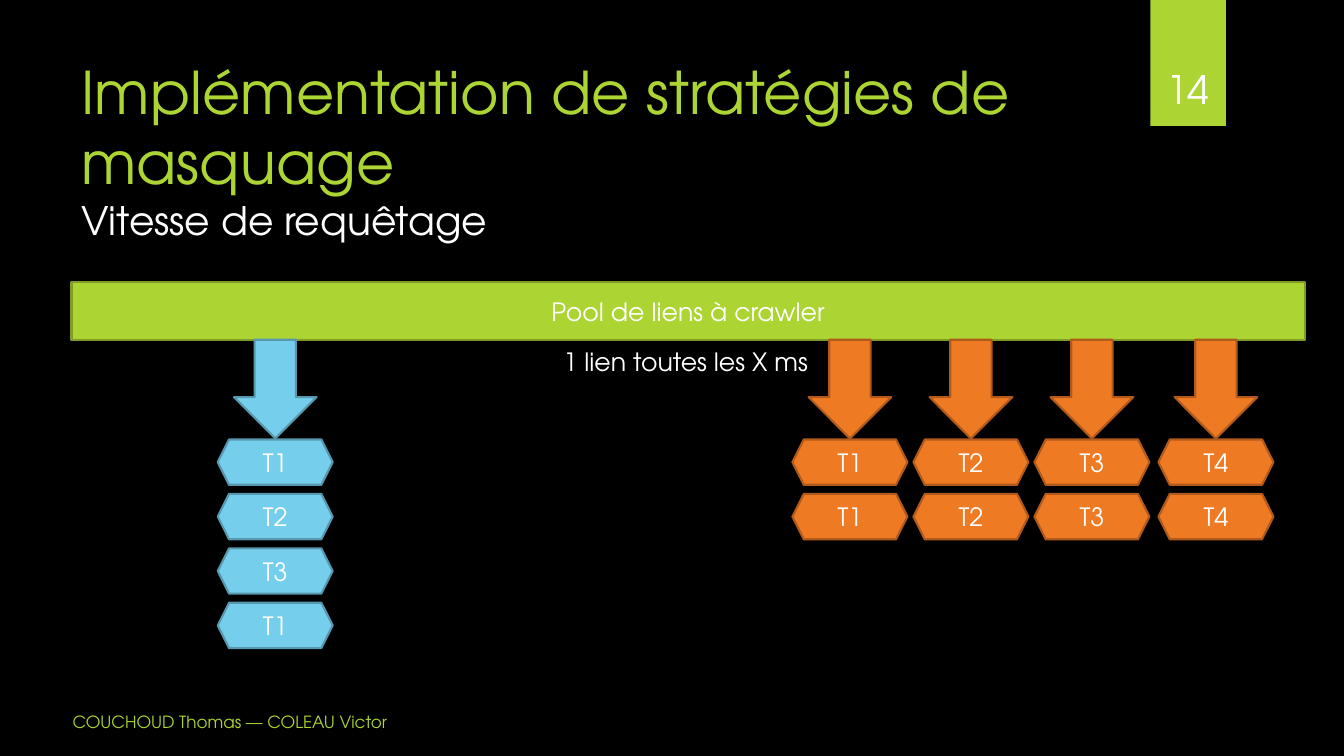
from pptx import Presentation
from pptx.dml.color import RGBColor
from pptx.enum.shapes import MSO_SHAPE as SHAPE
from pptx.enum.text import MSO_ANCHOR as ANCHOR, PP_ALIGN as ALIGN
from pptx.util import Inches, Pt

FONT = "TeX Gyre Adventor"
BLACK = RGBColor(0x00, 0x00, 0x00)
WHITE = RGBColor(0xFF, 0xFF, 0xFF)
GREEN = RGBColor(0xAC, 0xD4, 0x33)
DARK_GREEN = RGBColor(0x7F, 0x9D, 0x26)
BLUE = RGBColor(0x75, 0xCE, 0xEC)
DARK_BLUE = RGBColor(0x57, 0x98, 0xAF)
ORANGE = RGBColor(0xEF, 0x7A, 0x24)
DARK_ORANGE = RGBColor(0xB1, 0x5A, 0x1B)

prs = Presentation()
prs.slide_width, prs.slide_height = Inches(13.33), Inches(7.5)
slide = prs.slides.add_slide(prs.slide_layouts[6])
slide.background.fill.solid()
slide.background.fill.fore_color.rgb = BLACK


def write(box, text, size=18, color=WHITE, align=ALIGN.CENTER, anchor=ANCHOR.MIDDLE, wrap=True):
    frame = box.text_frame
    for name, value in {"word_wrap": wrap, "vertical_anchor": anchor}.items():
        setattr(frame, name, value)
    paragraph = frame.paragraphs[0]
    paragraph.alignment = align
    run = paragraph.add_run()
    run.text = text
    for name, value in {"name": FONT, "size": Pt(size)}.items():
        setattr(run.font, name, value)
    run.font.color.rgb = color
    return paragraph


def draw(kind, left, top, width, height, fill, outline=None):
    shape = slide.shapes.add_shape(kind, Inches(left), Inches(top), Inches(width), Inches(height))
    shape.shadow.inherit = False
    shape.fill.solid()
    shape.fill.fore_color.rgb = fill
    if outline is None:
        shape.line.fill.background()
    else:
        shape.line.color.rgb = outline
        shape.line.width = Pt(1.5)
    return shape


draw(SHAPE.RECTANGLE, 11.41, 0, 0.75, 1.25, GREEN)

title = slide.shapes.add_textbox(Inches(0.71), Inches(0.5), Inches(10.29), Inches(1.53))
heading = write(title, "Implémentation de stratégies de masquage", 42, GREEN, ALIGN.LEFT, ANCHOR.TOP)
heading.add_line_break()
write(title, "Vitesse de requêtage", 28, WHITE, ALIGN.LEFT, ANCHOR.TOP)

authors = slide.shapes.add_textbox(Inches(0.17), Inches(7), Inches(4.22), Inches(0.33))
write(authors, "COUCHOUD Thomas — COLEAU Victor", 12, GREEN)

page_number = slide.shapes.add_textbox(Inches(11.32), Inches(0.32), Inches(0.92), Inches(0.84))
write(page_number, "14", 28, anchor=ANCHOR.BOTTOM)

pool = draw(SHAPE.RECTANGLE, 0.71, 2.8, 12.23, 0.57, GREEN, DARK_GREEN)
write(pool, "Pool de liens à crawler")

rate = slide.shapes.add_textbox(Inches(5.49), Inches(3.39), Inches(2.67), Inches(0.4))
write(rate, "1 lien toutes les X ms", align=ALIGN.LEFT, anchor=ANCHOR.TOP, wrap=False)

queues = [
    (2.16, BLUE, DARK_BLUE, ["T1", "T2", "T3", "T1"]),
    (7.86, ORANGE, DARK_ORANGE, ["T1"] * 2),
    (9.06, ORANGE, DARK_ORANGE, ["T2"] * 2),
    (10.26, ORANGE, DARK_ORANGE, ["T3"] * 2),
    (11.49, ORANGE, DARK_ORANGE, ["T4"] * 2),
]
for left, fill, outline, threads in queues:
    draw(SHAPE.DOWN_ARROW, left + 0.16, 3.37, 0.82, 0.98, fill, outline)
    for row, thread in enumerate(threads):
        task = draw(SHAPE.HEXAGON, left, 4.36 + 0.54 * row, 1.14, 0.45, fill, outline)
        write(task, thread)

prs.save("out.pptx")
